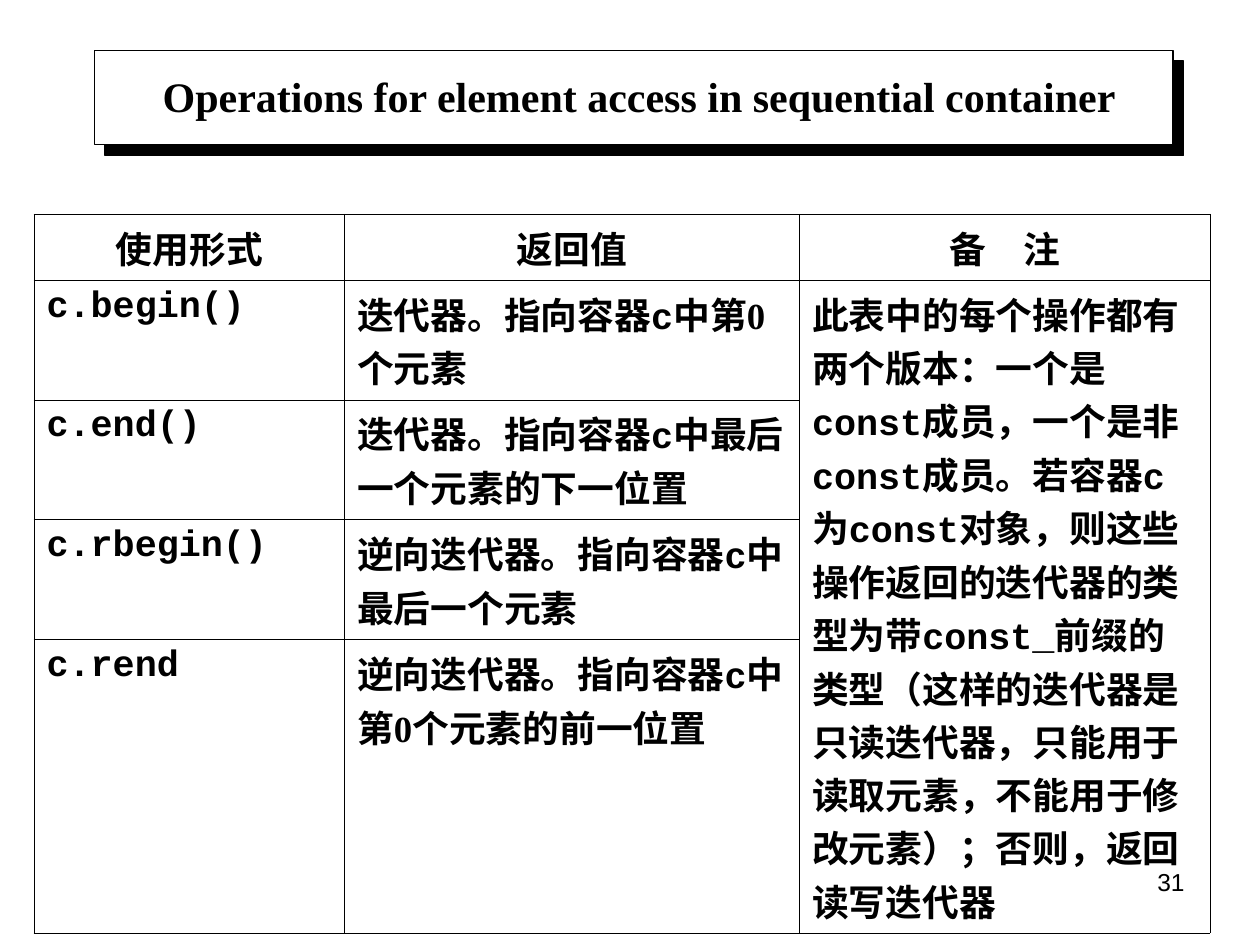
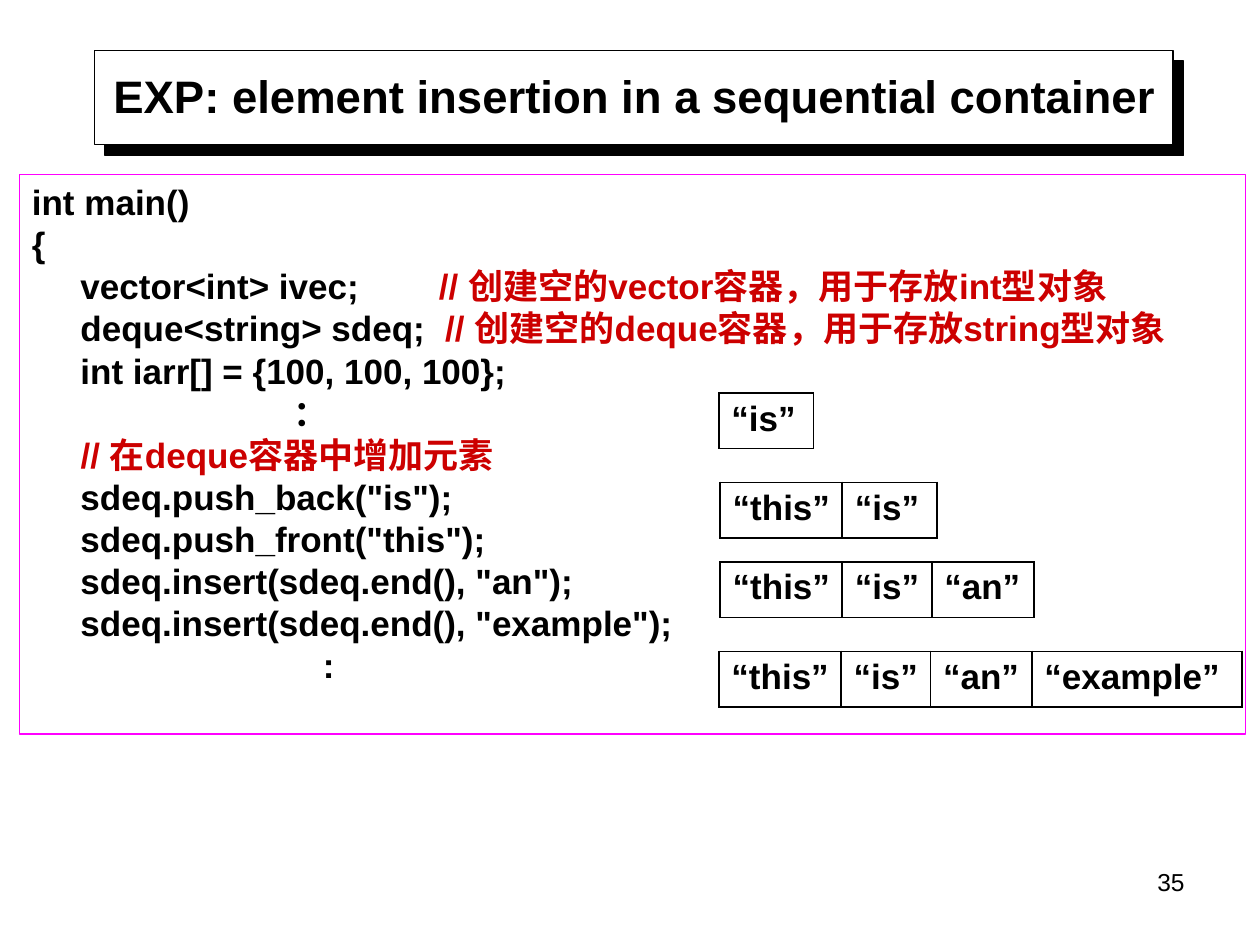
import dataclasses
from typing import Optional

import lxml.etree
import pptx
import pptx.dml.color
import pptx.enum.lang
import pptx.enum.shapes
import pptx.enum.text
import pptx.oxml.ns
import pptx.util

# Grid: 100 columns by 75 rows of square cells
SLIDE_WIDTH = pptx.util.Inches(10)
SLIDE_HEIGHT = pptx.util.Inches(7.5)
COLUMNS, ROWS = 100, 75

# Shared look
BLACK, WHITE, MAGENTA, COMMENT_RED = "000000", "FFFFFF", "FF00FF", "CC0000"
SANS, SERIF, MONO = "Arial", "Times New Roman", "Courier New"
ALIGN = pptx.enum.text.PP_ALIGN
ANCHOR = pptx.enum.text.MSO_ANCHOR
RECTANGLE = pptx.enum.shapes.MSO_SHAPE.RECTANGLE
qn = pptx.oxml.ns.qn


@dataclasses.dataclass(frozen=True)
class Box:
    left: float
    top: float
    width: float
    height: float

    def place(self) -> tuple[int, int, int, int]:
        return across(self.left), down(self.top), across(self.width), down(self.height)


@dataclasses.dataclass(frozen=True)
class Piece:
    text: str
    size: float
    font: str = SANS
    color: str = BLACK
    bold: bool = True


@dataclasses.dataclass(frozen=True)
class Cell:
    pieces: list[Piece]
    align: ALIGN = ALIGN.LEFT


@dataclasses.dataclass(frozen=True)
class CodeLine:
    code: str
    comment: str = ""
    tab: Optional[float] = None


@dataclasses.dataclass(frozen=True)
class DequeState:
    left: float
    top: float
    widths: list[float]
    words: list[str]


TITLE_BAND = Box(7.5, 4, 85.6, 7.5)
PAGE_NUMBER = Box(71.7, 68.3, 23.3, 5.2)


def across(columns: float) -> int:
    return round(SLIDE_WIDTH * columns / COLUMNS)


def down(rows: float) -> int:
    return round(SLIDE_HEIGHT * rows / ROWS)


def rgb(value: str) -> pptx.dml.color.RGBColor:
    return pptx.dml.color.RGBColor.from_string(value)


def add_pieces(paragraph, pieces: list[Piece], align: ALIGN = ALIGN.LEFT) -> None:
    paragraph.alignment = align
    for piece in pieces:
        run = paragraph.add_run()
        run.text = piece.text
        run.font.size = pptx.util.Pt(piece.size)
        run.font.name = piece.font
        run.font.bold = piece.bold
        run.font.color.rgb = rgb(piece.color)
        run.font.language_id = pptx.enum.lang.MSO_LANGUAGE_ID.SIMPLIFIED_CHINESE


def add_label(slide, box: Box, piece: Piece, align: ALIGN, anchor: ANCHOR) -> None:
    frame = slide.shapes.add_textbox(*box.place()).text_frame
    frame.word_wrap = True
    frame.vertical_anchor = anchor
    add_pieces(frame.paragraphs[0], [piece], align)


def add_frame(slide, box: Box, line: str, fill: Optional[str] = None):
    shape = slide.shapes.add_shape(RECTANGLE, *box.place())
    shape.shadow.inherit = False
    if fill:
        shape.fill.solid()
        shape.fill.fore_color.rgb = rgb(fill)
    else:
        shape.fill.background()
    shape.line.color.rgb = rgb(line)
    shape.line.width = pptx.util.Pt(0.75)
    return shape


def add_hard_shadow(shape) -> None:
    effects = shape._element.spPr.find(qn("a:effectLst"))
    shadow = lxml.etree.SubElement(
        effects, qn("a:outerShdw"), dist=str(pptx.util.Pt(8.5)),
        dir=str(45 * 60000), algn="ctr", rotWithShape="0")
    lxml.etree.SubElement(shadow, qn("a:srgbClr"), val=BLACK)


def start_slide(deck, title: Piece, title_box: Box, number: str):
    slide = deck.slides.add_slide(deck.slide_layouts[6])
    add_hard_shadow(add_frame(slide, TITLE_BAND, BLACK, WHITE))
    add_label(slide, PAGE_NUMBER, Piece(number, 14, bold=False), ALIGN.RIGHT, ANCHOR.TOP)
    add_label(slide, title_box, title, ALIGN.CENTER, ANCHOR.MIDDLE)
    return slide


def border_cell(cell, points: float) -> None:
    properties = cell._tc.get_or_add_tcPr()
    for place, side in enumerate(("lnL", "lnR", "lnT", "lnB")):
        line = lxml.etree.Element(qn(f"a:{side}"), w=str(pptx.util.Pt(points)))
        fill = lxml.etree.SubElement(line, qn("a:solidFill"))
        lxml.etree.SubElement(fill, qn("a:srgbClr"), val=BLACK)
        properties.insert(place, line)


def add_grid_table(slide, left: float, top: float, widths: list[float],
                   heights: list[float], rows: list[list[Cell]], border: float,
                   right_margin: float = 1):
    box = Box(left, top, sum(widths), sum(heights))
    table = slide.shapes.add_table(len(heights), len(widths), *box.place()).table
    table.first_row = table.horz_banding = False
    for column, width in zip(table.columns, widths):
        column.width = across(width)
    for row, height in zip(table.rows, heights):
        row.height = down(height)
    for cell in table.iter_cells():
        cell.fill.background()
        cell.margin_left = across(1)
        cell.margin_right = across(right_margin)
        cell.margin_top = cell.margin_bottom = down(0.5)
        border_cell(cell, border)
    for r, row in enumerate(rows):
        for c, content in enumerate(row):
            paragraph = table.cell(r, c).text_frame.paragraphs[0]
            add_pieces(paragraph, content.pieces, content.align)
    return table


def prose(text: str) -> Cell:
    """Text between backticks is set in the code font."""
    parts = text.split("`")
    return Cell([Piece(part, 21, MONO if i % 2 else SERIF)
                 for i, part in enumerate(parts) if part])


def set_tab(paragraph, columns: float) -> None:
    tabs = lxml.etree.SubElement(paragraph._p.get_or_add_pPr(), qn("a:tabLst"))
    lxml.etree.SubElement(tabs, qn("a:tab"), pos=str(across(columns)), algn="l")


def add_code(slide, box: Box, lines: list[CodeLine]) -> None:
    frame = add_frame(slide, box, MAGENTA).text_frame
    frame.word_wrap = True
    frame.vertical_anchor = ANCHOR.TOP
    for i, line in enumerate(lines):
        paragraph = frame.add_paragraph() if i else frame.paragraphs[0]
        paragraph.line_spacing = pptx.util.Pt(24)
        if line.tab:
            set_tab(paragraph, line.tab)
        pieces = [Piece(line.code, 20)]
        if line.comment:
            pieces.append(Piece(line.comment, 20, color=COMMENT_RED))
        add_pieces(paragraph, pieces)


# Element access slide
HEADINGS = ["使用形式", "返回值", "备　注"]
ACCESS_OPERATIONS = [
    ("c.begin()", "迭代器。指向容器`c`中第0个元素"),
    ("c.end()", "迭代器。指向容器`c`中最后一个元素的下一位置"),
    ("c.rbegin()", "逆向迭代器。指向容器`c`中最后一个元素"),
    ("c.rend", "逆向迭代器。指向容器`c`中第0个元素的前一位置"),
]
REMARK = ("此表中的每个操作都有两个版本：一个是`const`成员，一个是非`const`成员。"
          "若容器`c`为`const`对象，则这些操作返回的迭代器的类型为带`const_`前缀的类型"
          "（这样的迭代器是只读迭代器，只能用于读取元素，不能用于修改元素）；"
          "否则，返回读写迭代器")

# Element insertion slide
CODE = [
    CodeLine("int main()"),
    CodeLine("{"),
    CodeLine("     vector<int> ivec;\t", "// 创建空的vector容器，用于存放int型对象", 32.3),
    CodeLine("     deque<string> sdeq;\t", "// 创建空的deque容器，用于存放string型对象", 32.8),
    CodeLine("     int iarr[] = {100, 100, 100};"),
    CodeLine("\t：", tab=20.8),
    CodeLine("     ", "// 在deque容器中增加元素"),
    CodeLine('     sdeq.push_back("is");'),
    CodeLine('     sdeq.push_front("this");'),
    CodeLine('     sdeq.insert(sdeq.end(), "an");'),
    CodeLine('     sdeq.insert(sdeq.end(), "example");'),
    CodeLine("\t:", tab=23.1),
]
DEQUE_STATES = [
    DequeState(57.05, 31.2, [7.5], ["is"]),
    DequeState(57.15, 38.3, [9.7, 7.5], ["this", "is"]),
    DequeState(57.15, 44.6, [9.7, 7.1, 8.1], ["this", "is", "an"]),
    DequeState(57.05, 51.7, [9.7, 7.1, 8.05, 16.7], ["this", "is", "an", "example"]),
]


def build_access_slide(deck) -> None:
    title = Piece("Operations for element access in sequential container", 24, SERIF)
    slide = start_slide(deck, title, Box(8.6, 4.45, 84.3, 6.3), "31")
    rows = [[Cell([Piece(heading, 21)], ALIGN.CENTER) for heading in HEADINGS]]
    rows += [[Cell([Piece(call, 21, MONO)]), prose(result)]
             for call, result in ACCESS_OPERATIONS]
    rows[1].append(prose(REMARK))
    table = add_grid_table(slide, 2.7, 17, [24.65, 36.1, 32.6],
                           [5.25, 9.5, 9.5, 9.5, 23.3], rows, 0.4)
    table.cell(1, 2).merge(table.cell(len(ACCESS_OPERATIONS), 2))


def build_insertion_slide(deck) -> None:
    title = Piece("EXP: element insertion in a sequential container", 26)
    slide = start_slide(deck, title, Box(6.7, 4.4, 87.4, 6.3), "35")
    add_code(slide, Box(1.55, 13.87, 97.3, 44.4), CODE)
    for state in DEQUE_STATES:
        cells = [Cell([Piece(f"“{word}”", 20)]) for word in state.words]
        add_grid_table(slide, state.left, state.top, state.widths, [4.4], [cells],
                       1.08, right_margin=0.4)


def main() -> None:
    deck = pptx.Presentation()
    deck.slide_width, deck.slide_height = SLIDE_WIDTH, SLIDE_HEIGHT
    build_access_slide(deck)
    build_insertion_slide(deck)
    deck.save("out.pptx")


if __name__ == "__main__":
    main()
